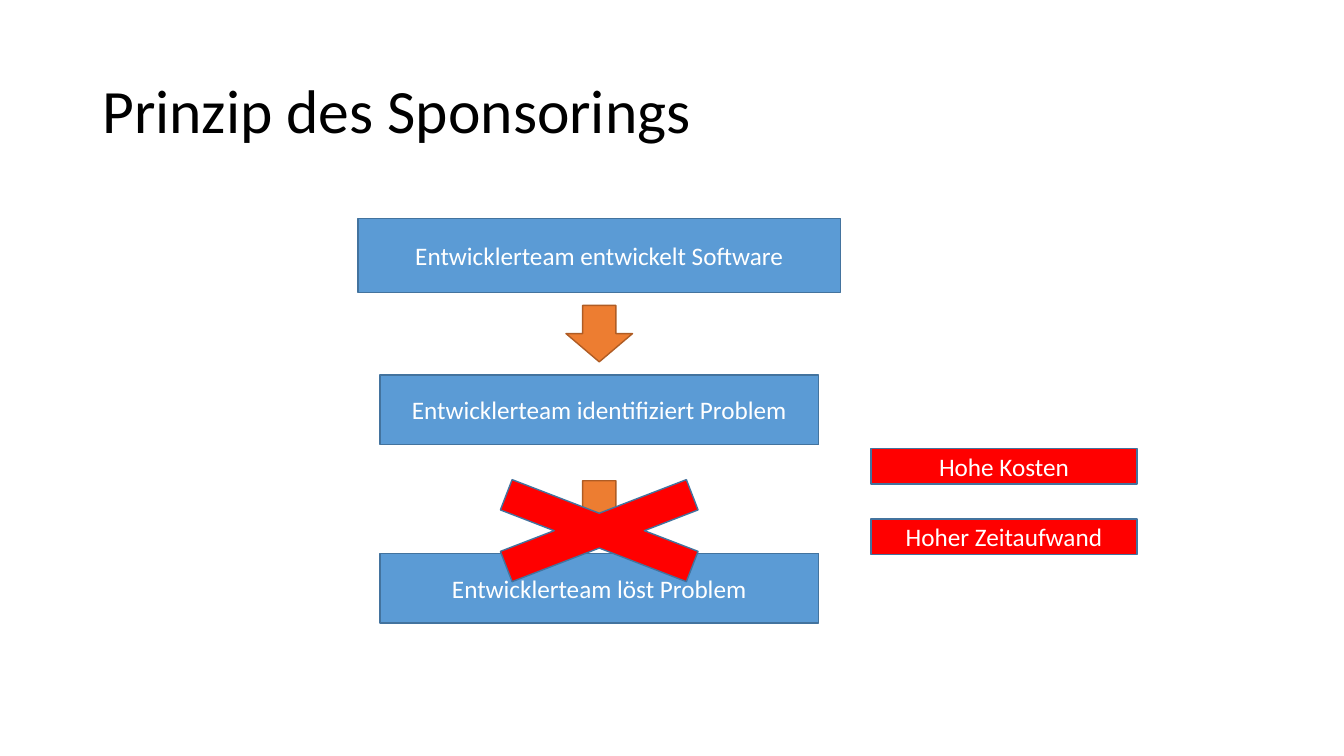
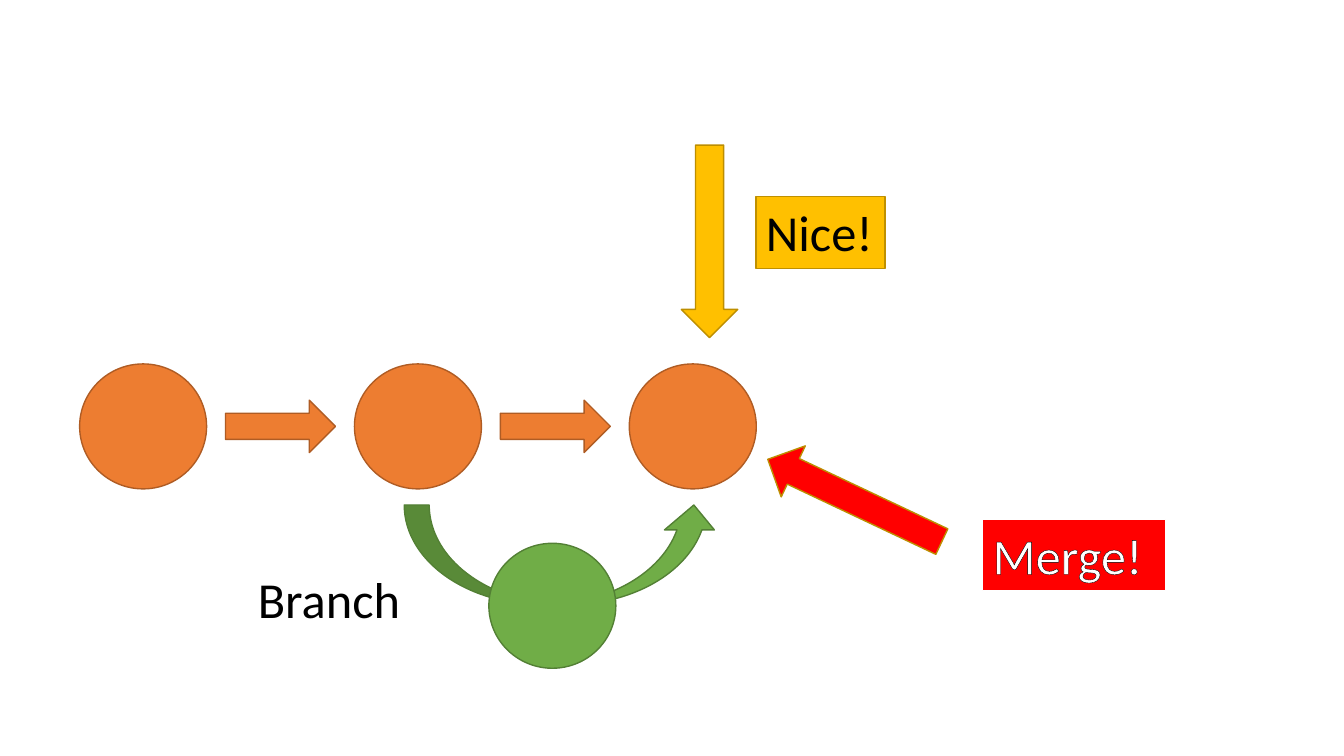
"""Build two slides: a sponsoring flow and a branch-and-merge diagram."""
from lxml import etree
from pptx import Presentation
from pptx.dml.color import RGBColor
from pptx.enum.shapes import MSO_SHAPE
from pptx.enum.text import MSO_ANCHOR, PP_ALIGN
from pptx.oxml import parse_xml
from pptx.util import Inches, Pt

RECT, PROCESS, OVAL = MSO_SHAPE.RECTANGLE, MSO_SHAPE.FLOWCHART_PROCESS, MSO_SHAPE.OVAL
DOWN, RIGHT = MSO_SHAPE.DOWN_ARROW, MSO_SHAPE.RIGHT_ARROW
CURVED, CROSS = MSO_SHAPE.CURVED_UP_ARROW, MSO_SHAPE.MATH_MULTIPLY
LEFT, CENTER = PP_ALIGN.LEFT, PP_ALIGN.CENTER
MIDDLE, TOP = MSO_ANCHOR.MIDDLE, MSO_ANCHOR.TOP

FONT = "Calibri"
BLACK, WHITE, RED = "000000", "FFFFFF", "FF0000"
BLUE, NAVY = "5B9BD5", "43739E"
ORANGE, RUST = "ED7D31", "AF5C24"
GREEN, MOSS = "70AD47", "538035"
GOLD, OCHRE = "FFC000", "BD8E00"
OUTLINE = (
    '<a:ln xmlns:a="http://schemas.openxmlformats.org/drawingml/2006/main" w="9525">'
    '<a:solidFill><a:srgbClr val="000000"/></a:solidFill></a:ln>'
)

prs = Presentation()
prs.slide_width, prs.slide_height = Inches(13.333), Inches(7.5)
blank = prs.slide_layouts[6]


def add_shape(s, kind, cx, cy, w, h, fill, line, width=1):
    """Add a shape by its centre and size in percent of the slide; no kind gives a text box."""
    col, row = prs.slide_width / 100, prs.slide_height / 100
    box = [int(v) for v in ((cx - w / 2) * col, (cy - h / 2) * row, w * col, h * row)]
    if kind is None:
        return s.shapes.add_textbox(*box)
    sp = s.shapes.add_shape(kind, *box)
    sp.shadow.inherit = False
    sp.fill.solid()
    sp.fill.fore_color.rgb = RGBColor.from_string(fill)
    sp.line.color.rgb = RGBColor.from_string(line)
    sp.line.width = Pt(width)
    return sp


def set_text(sp, text, size, color, align=CENTER, anchor=MIDDLE):
    """Write one styled paragraph into a shape and return it."""
    tf = sp.text_frame
    tf.word_wrap = True
    tf.vertical_anchor = anchor
    p = tf.paragraphs[0]
    p.add_run().text = text
    p.alignment = align
    p.font.name, p.font.size = FONT, Pt(size)
    p.font.color.rgb = RGBColor.from_string(color)
    return p


s = prs.slides.add_slide(blank)
title = add_shape(s, None, 50, 15, 86.25, 19.33, None, None)
set_text(title, "Prinzip des Sponsorings", 44, BLACK, LEFT).line_spacing = 0.9

flow_x, cost_x = 44.59, 74.7
for text, cx, cy, w, h, fill in (
    ("Entwicklerteam entwickelt Software", flow_x, 33.8, 35.93, 9.73, BLUE),
    ("Entwicklerteam identifiziert Problem", flow_x, 54.2, 32.63, 9.2, BLUE),
    ("Entwicklerteam löst Problem", flow_x, 77.8, 32.63, 9.2, BLUE),
    ("Hohe Kosten", cost_x, 61.67, 19.8, 4.67, RED),
    ("Hoher Zeitaufwand", cost_x, 71, 19.8, 4.67, RED),
):
    set_text(add_shape(s, PROCESS, cx, cy, w, h, fill, NAVY), text, 18, WHITE)
for cy in (44.13, 67.33):
    add_shape(s, DOWN, flow_x, cy, 4.95, 7.47, ORANGE, RUST)
add_shape(s, CROSS, flow_x, 70.2, 26.63, 18.27, RED, NAVY)

s = prs.slides.add_slide(blank)
first_x, main_y, step = 10.65, 56.4, 20.45
circle = 9.45, 16.53
for i in range(3):
    add_shape(s, OVAL, first_x + i * step, main_y, *circle, ORANGE, RUST)
for i in range(2):
    add_shape(s, RIGHT, first_x + (i + 0.5) * step, main_y, 8.18, 6.93, ORANGE, RUST)
add_shape(s, CURVED, 41.78, 73.4, 23.4, 13.2, GREEN, MOSS)
add_shape(s, OVAL, 41.1, 80.13, *circle, GREEN, MOSS)
for cx, cy, fill, angle in ((52.8, 31.93, GOLD, 0), (63.6, 66.2, RED, 115.3)):
    add_shape(s, DOWN, cx, cy, 4.2, 25.47, fill, OCHRE).rotation = angle

for text, kind, cx, cy, w, fill, line, color in (
    ("Branch", None, 26.21, 79.27, 15.53, None, None, BLACK),
    ("Nice!", RECT, 61.05, 30.73, 9.6, GOLD, "BF9000", BLACK),
    ("Merge!", RECT, 79.91, 73.4, 13.58, RED, WHITE, WHITE),
):
    sp = add_shape(s, kind, cx, cy, w, 9.47, fill, line, 0.75)
    p = set_text(sp, text, 36, color, LEFT, TOP)
    if kind is not None:
        etree.strip_tags(p._p, etree.Comment)
        p.runs[0]._r.get_or_add_rPr().insert(0, parse_xml(OUTLINE))

prs.save("out.pptx")
